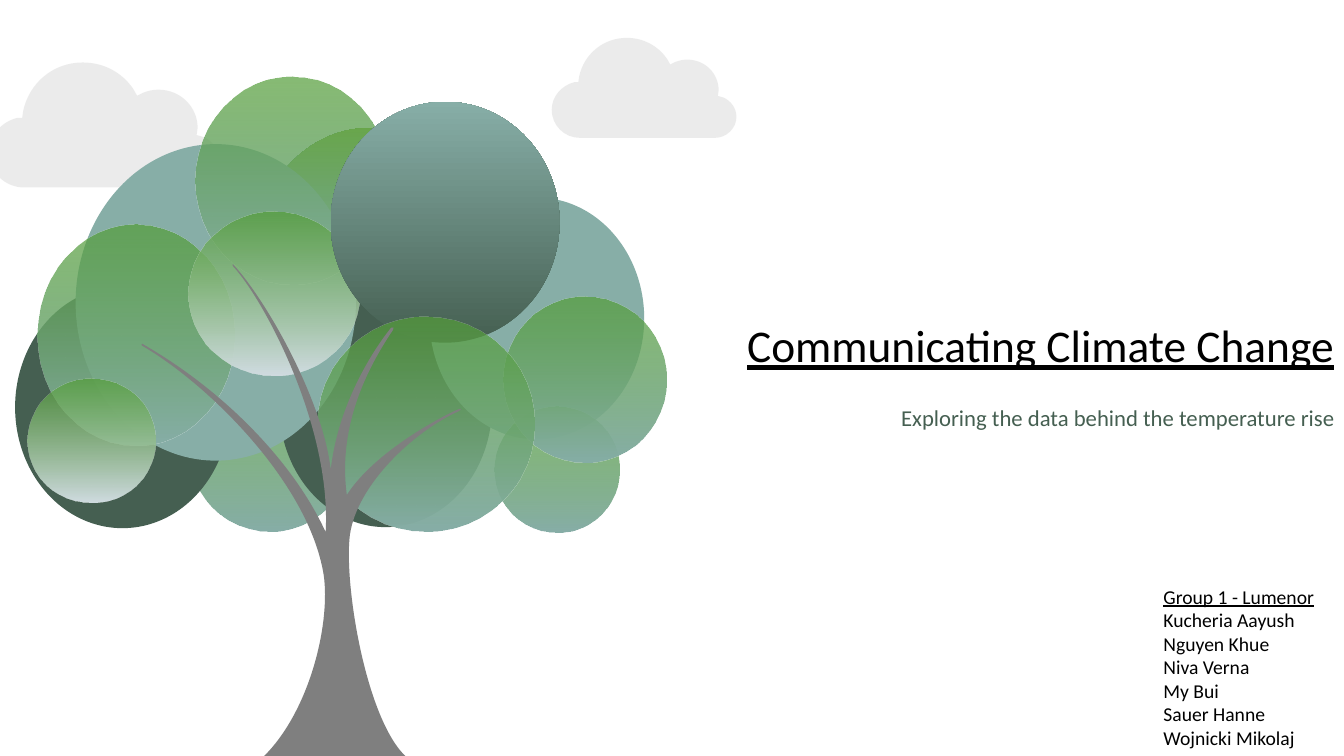
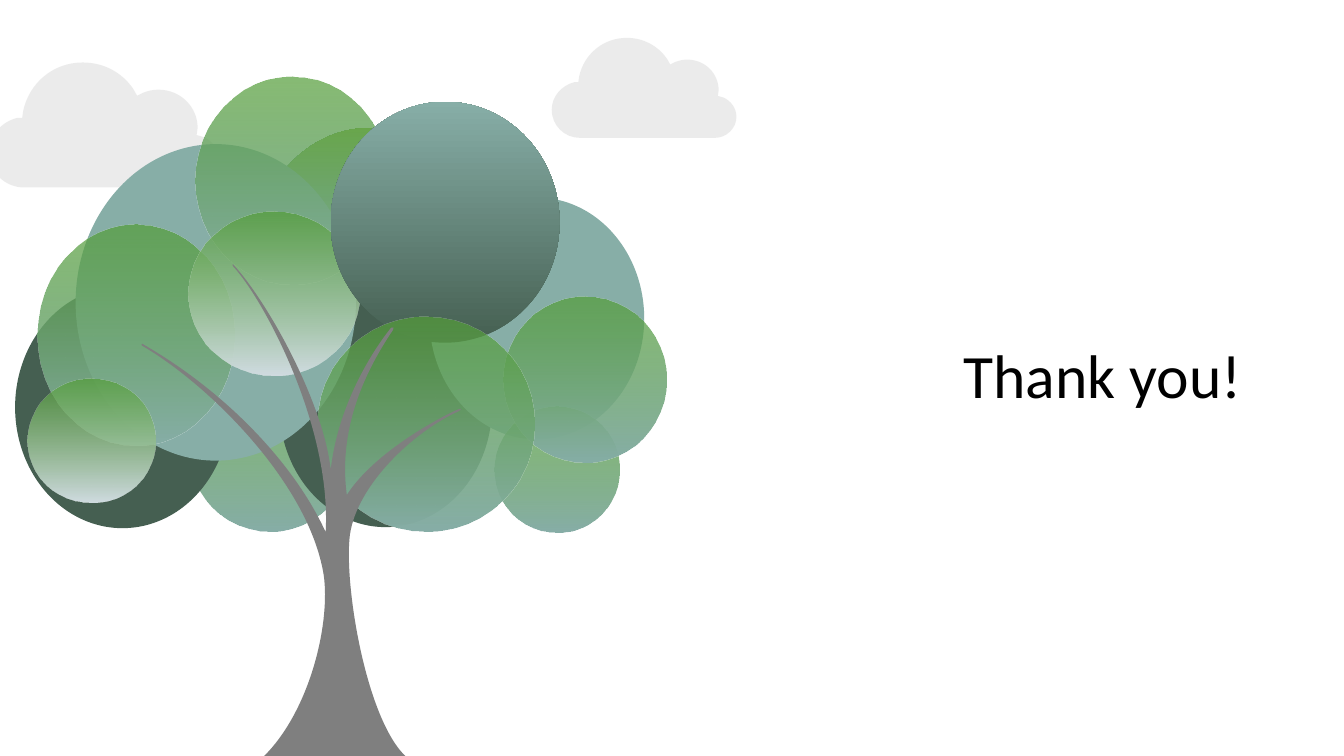
from lxml.etree import SubElement
from pptx import Presentation
from pptx.dml.color import RGBColor
from pptx.enum.shapes import MSO_SHAPE as SHAPE
from pptx.enum.text import MSO_ANCHOR as ANCHOR, MSO_AUTO_SIZE as FIT, PP_ALIGN as ALIGN
from pptx.oxml.ns import qn
from pptx.util import Inches, Pt

FONT = "Calibri"
BLACK, GREY, DARK, TEAL = "000000", "7F7F7F", "455F51", "87AEA7"
GREEN, MIST, PINE, LIME = "549E39", "D1DCE1", "017058", "8AB833"

LEAF = dict(colors=(TEAL, GREEN), alpha=70)
PALE = dict(colors=(MIST, GREEN), alpha=70)
CROWN = [
    (1.87, 3.62, 1.62, 1.65, LEAF),
    (2.52, 1.27, 2.29, 2.58, dict(colors=(PINE, LIME))),
    (2.77, 2.83, 2.11, 2.4, dict(colors=(DARK,))),
    (0.15, 2.84, 2.13, 2.4, dict(colors=(DARK,))),
    (4.26, 1.96, 2.13, 2.4, dict(colors=(TEAL,))),
    (0.75, 1.43, 2.78, 3.14, dict(colors=(TEAL,))),
    (0.37, 2.23, 1.96, 2.19, LEAF),
    (1.94, 0.76, 1.91, 2.06, LEAF),
    (4.91, 4.03, 1.23, 1.25, LEAF),
    (1.87, 2.1, 1.7, 1.63, PALE),
    (0.27, 3.76, 1.27, 1.23, PALE),
    (3.28, 1.01, 2.27, 2.39, dict(colors=(DARK, TEAL))),
    (4.99, 2.94, 1.62, 1.65, LEAF),
    (3.15, 3.14, 2.15, 2.13, LEAF),
]
CLOUD = [
    (0.82, 0.62), (1.03, 0.62, 1.21, 0.72, 1.32, 0.88), (1.36, 0.95), (1.42, 0.92),
    (1.47, 0.9, 1.52, 0.89, 1.57, 0.89), (1.79, 0.89, 1.96, 1.06, 1.96, 1.27),
    (1.95, 1.34), (2.02, 1.36), (2.11, 1.4, 2.18, 1.49, 2.18, 1.6),
    (2.18, 1.74, 2.06, 1.86, 1.91, 1.86), (0.26, 1.86), (0.24, 1.86),
    (0.05, 1.86, -0.11, 1.71, -0.11, 1.51), (-0.11, 1.35, 0.01, 1.21, 0.17, 1.17),
    (0.22, 1.17), (0.23, 1.1), (0.29, 0.82, 0.53, 0.62, 0.82, 0.62),
]
TRUNK = [
    (4.03, 7.51), (3.63, 7.14, 3.41, 5.8, 3.47, 5.31), (3.54, 4.8, 4.12, 4.27, 4.55, 4.08),
    (4.58, 4.06, 4.58, 4.05, 4.55, 4.06), (4.53, 4.06, 3.75, 4.43, 3.44, 4.91),
    (3.34, 4.17, 3.7, 3.57, 3.9, 3.27), (3.91, 3.25, 3.9, 3.24, 3.88, 3.25),
    (3.75, 3.41, 3.36, 3.96, 3.28, 4.66), (3.21, 4.01, 2.67, 3.01, 2.31, 2.62),
    (2.31, 2.62, 2.3, 2.64, 2.31, 2.64), (2.61, 2.96, 3.29, 4.22, 3.23, 5.28),
    (2.95, 4.66, 2.3, 3.92, 1.41, 3.41), (1.4, 3.41, 1.4, 3.43, 1.41, 3.43),
    (2.05, 3.8, 3.06, 4.78, 3.21, 5.7), (3.28, 6.17, 3.08, 7.05, 2.61, 7.51),
]
OUTLINES = [
    (CLOUD, 1, 0, 0, dict(colors=(GREY,), alpha=15)),
    (TRUNK, 1, 0, 0, dict(colors=(GREY,))),
    (CLOUD, 0.8, 5.56, -0.12, dict(colors=(GREY,), alpha=15)),
]
TITLES = [
    (6.56, 2.99, 6.77, 1.45, [
        ("Communicating Climate Change", dict(size=32.4, underline=True)),
        ("Exploring the data behind the temperature rise",
         dict(size=16.2, color=DARK, before=23)),
    ]),
    (0.92, 3.03, 11.5, 1.45, [("Thank you!", dict(size=44, spacing=0.9))]),
]
GROUP = ["Group 1 - Lumenor", "Kucheria Aayush", "Nguyen Khue", "Niva Verna",
         "My Bui", "Sauer Hanne", "Wojnicki Mikolaj"]


def paint(shape, colors, alpha=100):
    shape.shadow.inherit = False
    shape.line.fill.background()
    if len(colors) == 1:
        shape.fill.solid()
        shape.fill.fore_color.rgb = RGBColor.from_string(colors[0])
    else:
        shape.fill.gradient()
        shape.fill.gradient_angle = 90
        for stop, color in zip(shape.fill.gradient_stops, colors):
            stop.color.rgb = RGBColor.from_string(color)
    if alpha < 100:
        last = list(shape._element.spPr.iter(qn("a:srgbClr")))[-1]
        SubElement(last, qn("a:alpha"), val=str(alpha * 1000))


def write(tf, i, text, size, color=BLACK, underline=False, align=ALIGN.LEFT, before=0, spacing=1.0):
    p = tf.add_paragraph() if i else tf.paragraphs[0]
    p.alignment, p.line_spacing, p.space_before = align, spacing, Pt(before)
    r = p.add_run()
    r.text = text
    r.font.name, r.font.size, r.font.underline = FONT, Pt(size), underline
    r.font.color.rgb = RGBColor.from_string(color)


prs = Presentation()
prs.slide_width, prs.slide_height = Inches(13.33), Inches(7.5)

for x, y, w, h, lines in TITLES:
    s = prs.slides.add_slide(prs.slide_layouts[5])
    title = s.shapes.title
    title.left, title.top, title.width, title.height = map(Inches, (x, y, w, h))
    tf = title.text_frame
    tf.word_wrap, tf.auto_size, tf.vertical_anchor = True, FIT.NONE, ANCHOR.MIDDLE
    for i, (text, fmt) in enumerate(lines):
        write(tf, i, text, align=ALIGN.RIGHT, **fmt)

    for n, (segments, scale, dx, dy, look) in enumerate(OUTLINES):
        pts = [(Inches(px * scale + dx), Inches(py * scale + dy))
               for seg in segments for px, py in zip(seg[::2], seg[1::2])]
        fb = s.shapes.build_freeform(*pts[0])
        fb.add_line_segments(pts[1:], close=True)
        outline = fb.convert_to_shape()
        paint(outline, **look)
        steps = iter(list(outline._element.spPr.iter(qn("a:lnTo"))))
        for seg in segments[1:]:
            first = next(steps)
            if len(seg) == 6:
                curve = SubElement(first.getparent(), qn("a:cubicBezTo"))
                first.addprevious(curve)
                for step in (first, next(steps), next(steps)):
                    curve.append(step[0])
                    step.getparent().remove(step)
        if n == 0:
            for *box, leaf in CROWN:
                paint(s.shapes.add_shape(SHAPE.OVAL, *map(Inches, box)), **leaf)

tb = prs.slides[0].shapes.add_textbox(Inches(11.44), Inches(5.75), Inches(1.89), Inches(1.75))
tb.text_frame.word_wrap = True
for i, name in enumerate(GROUP):
    write(tb.text_frame, i, name, size=14, underline=i == 0)

prs.save("out.pptx")
